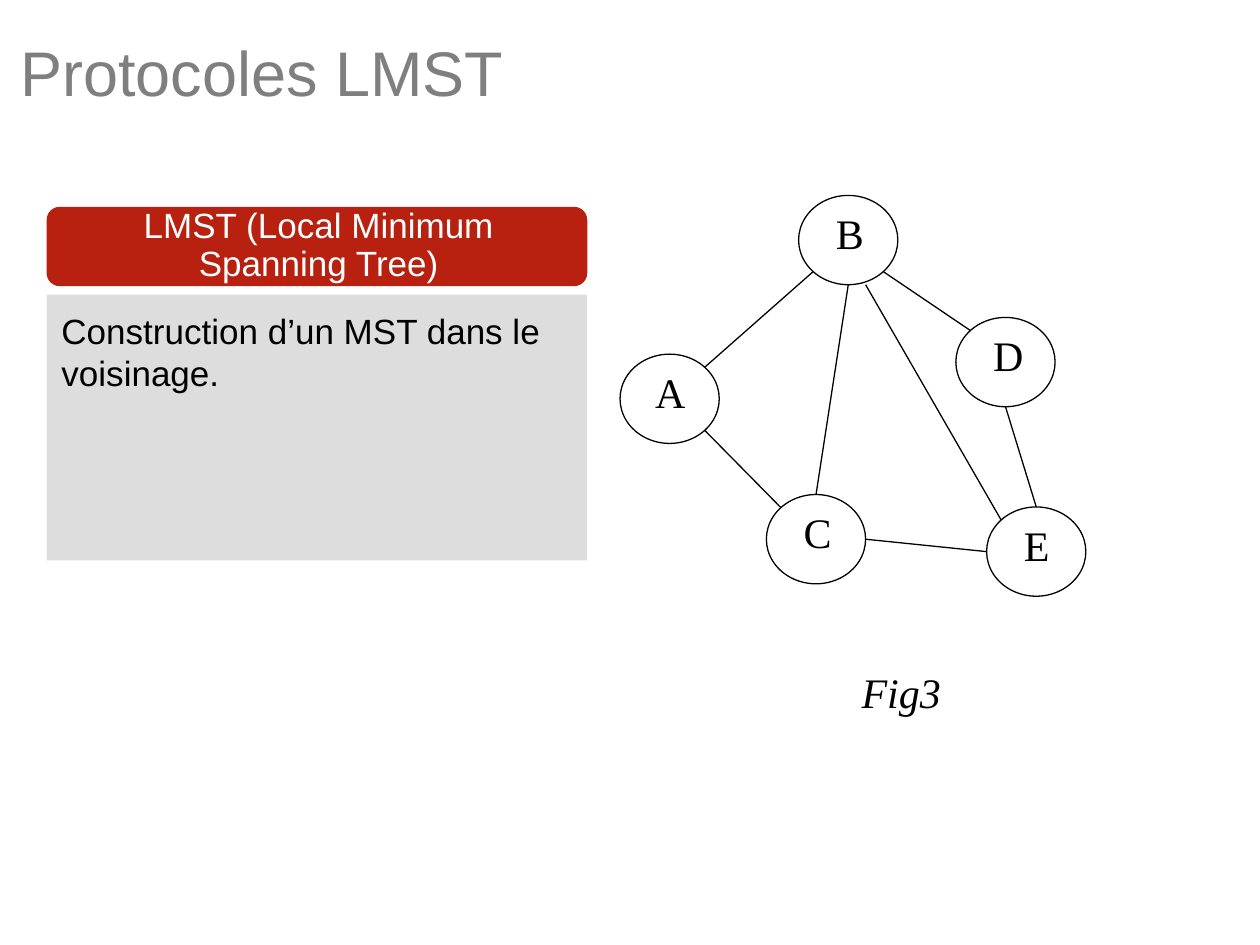
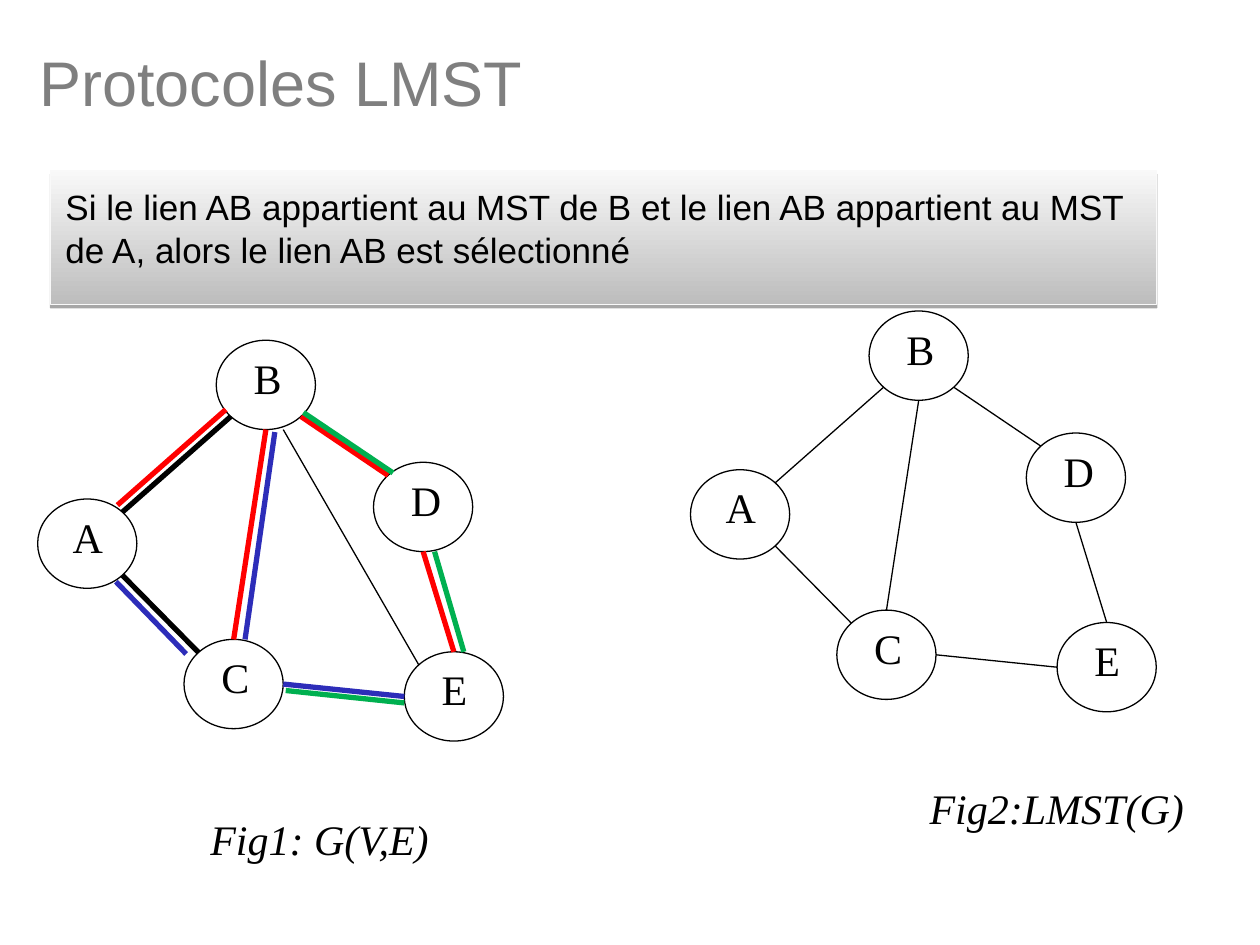
from math import cos, radians, sin

from lxml import etree
from pptx import Presentation
from pptx.dml.color import RGBColor
from pptx.enum.shapes import MSO_CONNECTOR, MSO_SHAPE
from pptx.enum.text import MSO_ANCHOR, MSO_AUTO_SIZE, PP_ALIGN
from pptx.oxml.ns import qn
from pptx.util import Cm, Pt

LINE = MSO_CONNECTOR.STRAIGHT
OVAL, RECT = MSO_SHAPE.OVAL, MSO_SHAPE.RECTANGLE
ROUND = MSO_SHAPE.FLOWCHART_ALTERNATE_PROCESS
TOP, MID = MSO_ANCHOR.TOP, MSO_ANCHOR.MIDDLE
LEFT, CENTER = PP_ALIGN.LEFT, PP_ALIGN.CENTER
GROW = MSO_AUTO_SIZE.SHAPE_TO_FIT_TEXT

SANS, SERIF = "Arial", "Times New Roman"
COLORS = {
    "title": "7F7F7F", "head": "B82010", "panel": "DDDDDD",
    "black": "000000", "white": "FFFFFF", "red": "FF0000",
    "green": "00B050", "blue": "2D2DB9",
    "dark": "BDBDBD", "light": "F8F8F8", "edge": "F9F9F9",
}
PAD = (0.25, 0.13, 0.25, 0.13)
BODY = (0.3, 0.3, 0.24, 0.46)

# Graph: node corners and links, in cm from the corner of the figure
WIDE, HIGH = 2.0, 1.8
NODES = {"A": (0, 3.2), "B": (3.6, 0), "C": (2.95, 6.03),
         "D": (6.77, 2.46), "E": (7.39, 6.28)}
# Angles on the rim, clockwise from the right, at both ends
LINKS = {"AB": (315, 135), "AC": (45, 225), "BC": (90, 270),
         "BD": (45, 225), "CE": (0, 180), "DE": (90, 270), "BE": (90, 225)}
SLANT = (0.35, 0, 0, 0)
# Local trees: colour of the main line, then colour and shift of its twin
TREES = {
    "AB": ("black", "red", (-0.1, -0.14, -0.1, -0.14)),
    "AC": ("black", "blue", (-0.13, 0.13, -0.25, 0.03)),
    "BC": ("red", "blue", (0.18, 0.05, 0.23, 0)),
    "BD": ("red", "green", (0.05, -0.08, 0.1, -0.05)),
    "CE": ("blue", "green", (0.05, 0.13, 0, 0.13)),
    "DE": ("red", "green", (0.23, 0, 0.2, 0)),
}


def rgb(name):
    return RGBColor.from_string(COLORS[name])


def write(shape, text, size=20, font=SANS, color="black", italic=False,
          align=LEFT, anchor=TOP, pad=PAD, space=1.0, wrap=True):
    frame = shape.text_frame
    frame.word_wrap = wrap
    frame.vertical_anchor = anchor
    (frame.margin_left, frame.margin_top,
     frame.margin_right, frame.margin_bottom) = map(Cm, pad)
    para = frame.paragraphs[0]
    para.alignment = align
    para.line_spacing = space
    run = para.add_run()
    run.text = text
    run.font.size = Pt(size)
    run.font.name = font
    run.font.italic = italic
    run.font.color.rgb = rgb(color)


def add_box(slide, kind, at, fill, line=None):
    shape = slide.shapes.add_shape(kind, *map(Cm, at))
    shape.shadow.inherit = False
    shape.fill.solid()
    shape.fill.fore_color.rgb = rgb(fill)
    if line:
        shape.line.color.rgb = rgb(line)
        shape.line.width = Pt(0.75)
    else:
        shape.line.fill.background()
    return shape


def add_text(slide, at, text, **form):
    box = slide.shapes.add_textbox(*map(Cm, at))
    write(box, text, **form)
    return box


def add_title(slide, at, foot=0):
    add_text(slide, at, "Protocoles LMST", size=36, color="title",
             anchor=MID, pad=(0, 0, 0, foot), space=0.76)


def add_label(slide, at, text):
    box = add_text(slide, at, text, size=24, font=SERIF, italic=True,
                   wrap=False)
    box.text_frame.auto_size = GROW


def rim(left, top, node, angle):
    x, y = NODES[node]
    turn = radians(angle)
    return (left + x + WIDE / 2 * (1 + cos(turn)),
            top + y + HIGH / 2 * (1 + sin(turn)))


def add_link(slide, left, top, pair, color="black", width=0.75,
             shift=(0, 0, 0, 0)):
    ends = [v for node, angle in zip(pair, LINKS[pair])
            for v in rim(left, top, node, angle)]
    line = slide.shapes.add_connector(
        LINE, *(Cm(end + move) for end, move in zip(ends, shift)))
    line.line.color.rgb = rgb(color)
    line.line.width = Pt(width)
    etree.SubElement(line._element.spPr, qn("a:effectLst"))


def add_nodes(slide, left, top):
    for name, (x, y) in NODES.items():
        node = add_box(slide, OVAL, (left + x, top + y, WIDE, HIGH),
                       "white", "black")
        write(node, " " + name, size=24, font=SERIF, space=0.86)


def add_graph(slide, left, top, cross=False):
    add_nodes(slide, left, top)
    for pair in TREES:
        add_link(slide, left, top, pair)
    if cross:
        add_link(slide, left, top, "BE", shift=SLANT)


def add_trees(slide, left, top):
    add_nodes(slide, left, top)
    for pair, (main_color, twin, shift) in TREES.items():
        add_link(slide, left, top, pair, main_color, 3)
        add_link(slide, left, top, pair, twin, 3, shift)
    add_link(slide, left, top, "BE", shift=SLANT)


def add_banner(slide, at, text):
    box = add_box(slide, RECT, at, "light", "edge")
    box.fill.gradient()
    box.fill.gradient_angle = 90
    for stop, name in zip(box.fill.gradient_stops, ("dark", "light")):
        stop.color.rgb = rgb(name)
    # Thin shadow below the band
    effects = box._element.spPr.find(qn("a:effectLst"))
    shade = etree.SubElement(effects, qn("a:outerShdw"), blurRad="0",
                             dist=str(Pt(1.8)), dir="5400000", rotWithShape="0")
    tint = etree.SubElement(shade, qn("a:srgbClr"), val=COLORS["black"])
    etree.SubElement(tint, qn("a:alpha"), val="35000")
    write(box, text, pad=BODY)


def main():
    deck = Presentation()
    deck.slide_width, deck.slide_height = Cm(25.4), Cm(19.05)
    blank = deck.slide_layouts[6]

    # Slide 1: definition and graph
    slide = deck.slides.add_slide(blank)
    add_title(slide, (0.41, 0.58, 17.86, 3.58), foot=1.55)
    head = add_box(slide, ROUND, (0.94, 4.17, 10.9, 1.6), "head")
    write(head, "LMST (Local Minimum Spanning Tree)", color="white",
          align=CENTER, anchor=MID, pad=(0.4, 0.2, 0.33, 0.2), space=0.9)
    panel = add_box(slide, RECT, (0.94, 5.94, 10.9, 5.36), "panel")
    write(panel, "Construction d’un MST dans le voisinage.", pad=BODY)
    add_graph(slide, 12.5, 3.94, cross=True)
    add_label(slide, (17.12, 13.31, 2.11, 1.27), "Fig3")

    # Slide 2: local trees and result
    slide = deck.slides.add_slide(blank)
    add_title(slide, (0.79, 0.71, 15.39, 2.18))
    add_trees(slide, 0.76, 6.86)
    add_graph(slide, 13.92, 6.27)
    add_label(slide, (3.99, 16.26, 5.0, 1.27), "Fig1: G(V,E)")
    add_label(slide, (18.49, 15.65, 5.64, 1.27), "Fig2:LMST(G)")
    add_banner(slide, (1.02, 3.45, 22.3, 2.69),
               "Si le lien AB appartient au MST de B et le lien AB appartient "
               "au MST de A, alors le lien AB est sélectionné")

    deck.save("out.pptx")


if __name__ == "__main__":
    main()
